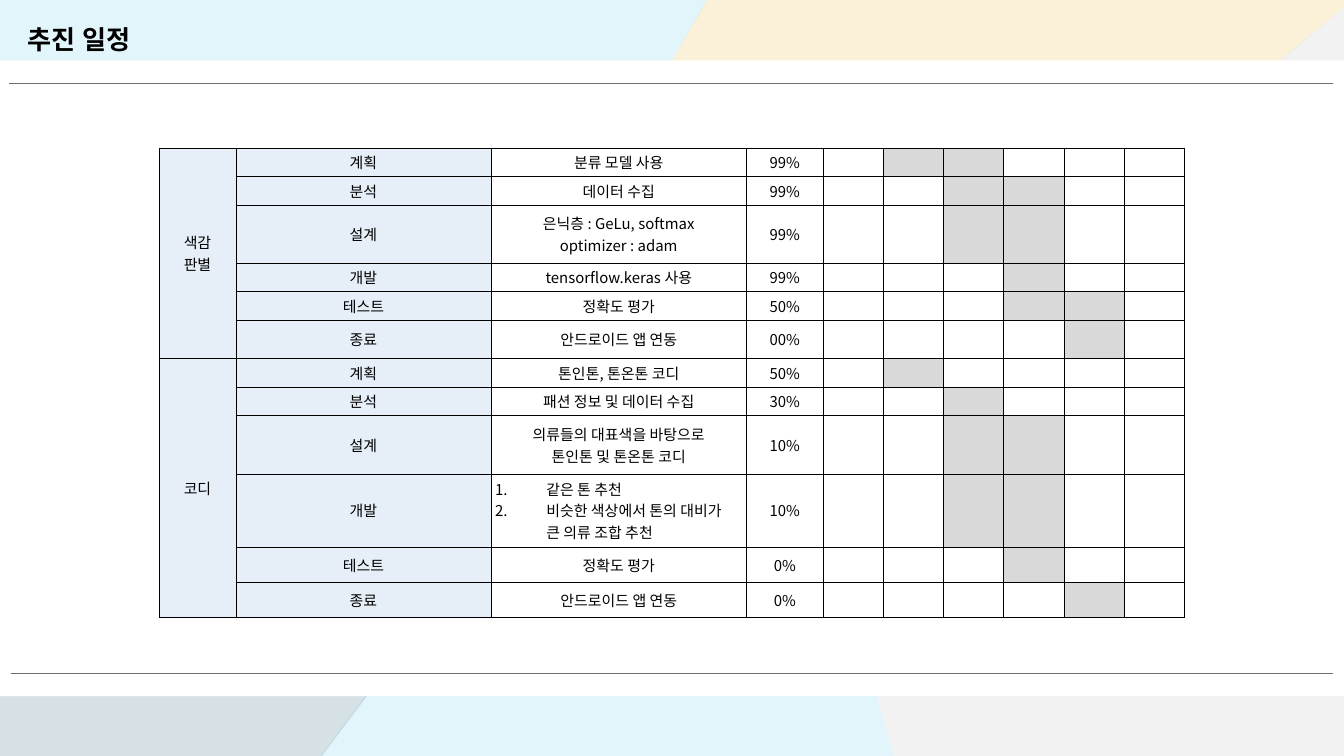
from lxml.etree import SubElement
from pptx import Presentation
from pptx.dml.color import RGBColor
from pptx.enum.shapes import MSO_CONNECTOR, MSO_SHAPE
from pptx.enum.text import MSO_ANCHOR, MSO_AUTO_SIZE, PP_ALIGN
from pptx.oxml.ns import qn
from pptx.util import Inches, Pt

# The slide is a 16:9 grid, 1000 columns wide
COLS = 1000
ROWS = COLS * 9 / 16
UNIT = Inches(0.01)
FONT = "Noto Sans CJK KR"

BLACK = RGBColor(0x00, 0x00, 0x00)
WHITE = RGBColor(0xFF, 0xFF, 0xFF)
RULE = RGBColor(0x69, 0x6E, 0x72)
SKY = RGBColor(0x9E, 0xDD, 0xEF)
SAND = RGBColor(0xF7, 0xE5, 0xB7)
SLATE = RGBColor(0x96, 0xB3, 0xC1)
PALE = RGBColor(0xEE, 0xEE, 0xEE)
LABEL = RGBColor(0xE6, 0xEE, 0xF7)
BUSY = RGBColor(0xD9, 0xD9, 0xD9)

# Colour, opacity in percent, corners
FACETS = [
    (SKY, 29, [(221, 586), (672, 586), (547, 149)]),
    (SAND, 53, [(1010, -3), (1010, -14), (534, -14), (433, 161), (917, 77)]),
    (SLATE, 39, [(-8, 593), (-8, 321), (549, 152), (212, 599)]),
    (SKY, 29, [(-7, 321), (-7, -10), (532, -10), (416, 189)]),
    (PALE, 72, [(672, 586), (1010, 586), (1010, -3), (600, 333)]),
]

WIDTHS = [57, 190, 190, 57] + [44.8] * 6
HEIGHTS = [21.2, 21.2, 43.4, 21.2, 21.2, 28, 21.2, 21.2, 43.6, 54.2, 26.4, 26.4]
STEPS = ["계획", "분석", "설계", "개발", "테스트", "종료"]

# Per step: task, progress, first and last busy period
PLAN = {
    "색감\n판별": [
        ("분류 모델 사용", "99%", 1, 2),
        ("데이터 수집", "99%", 2, 3),
        ("은닉층 : GeLu, softmax\noptimizer : adam", "99%", 2, 3),
        ("tensorflow.keras 사용", "99%", 3, 3),
        ("정확도 평가", "50%", 3, 4),
        ("안드로이드 앱 연동", "00%", 4, 4),
    ],
    "코디": [
        ("톤인톤, 톤온톤 코디", "50%", 1, 1),
        ("패션 정보 및 데이터 수집", "30%", 2, 2),
        ("의류들의 대표색을 바탕으로\n톤인톤 및 톤온톤 코디", "10%", 2, 3),
        (["같은 톤 추천", "비슷한 색상에서 톤의 대비가\v큰 의류 조합 추천"],
         "10%", 2, 3),
        ("정확도 평가", "0%", 3, 3),
        ("안드로이드 앱 연동", "0%", 4, 4),
    ],
}


def scale(*cells):
    return [round(n * UNIT) for n in cells]


def style(para, size, bold=False):
    for run in para.runs:
        font = run.font
        font.name, font.size, font.bold = FONT, Pt(size), bold
        font.color.rgb = BLACK
        SubElement(font._element, qn("a:ea"), typeface=FONT)


def paint(shape, color):
    shape.shadow.inherit = False
    shape.fill.solid()
    shape.fill.fore_color.rgb = color
    shape.line.fill.background()


def facet(slide, color, alpha, dots):
    build = slide.shapes.build_freeform(*dots[0], scale=UNIT)
    build.add_line_segments(dots[1:], close=True)
    shape = build.convert_to_shape()
    paint(shape, color)
    tint = shape.fill._xPr.find(".//" + qn("a:srgbClr"))
    SubElement(tint, qn("a:alpha"), val=str(alpha * 1000))


def rule(slide, left, right, top):
    line = slide.shapes.add_connector(
        MSO_CONNECTOR.STRAIGHT, *scale(left, top, right, top))
    line.line.color.rgb = RULE
    line.line.width = Pt(0.75)
    SubElement(line._element.spPr, qn("a:effectLst"))


def backdrop(slide, box):
    left, top, width, height = box
    for part in FACETS:
        facet(slide, *part)
    # White sheet over the facets, with a rule near each edge
    sheet = slide.shapes.add_shape(MSO_SHAPE.RECTANGLE, *scale(*box))
    paint(sheet, WHITE)
    rule(slide, left + 10, left + width - 10, top + 17)
    rule(slide, left + 11, left + width - 10, top + height - 17)


def title(slide, box, text):
    frame = slide.shapes.add_textbox(*scale(*box)).text_frame
    frame.word_wrap = True
    frame.auto_size = MSO_AUTO_SIZE.SHAPE_TO_FIT_TEXT
    frame.vertical_anchor = MSO_ANCHOR.MIDDLE
    frame.text = text
    para = frame.paragraphs[0]
    para.line_spacing = 2.5
    style(para, 14, True)


def number(para):
    props = para._p.get_or_add_pPr()
    props.set("marL", str(Inches(0.38)))
    props.set("indent", str(-Inches(0.38)))
    tint = SubElement(props, qn("a:buClr"))
    SubElement(tint, qn("a:srgbClr"), val=str(BLACK))
    SubElement(props, qn("a:buAutoNum"), type="arabicPeriod")


def border(cell):
    props = cell._tc.get_or_add_tcPr()
    for side in ("lnL", "lnR", "lnT", "lnB"):
        edge = SubElement(props, qn("a:" + side), w=str(Pt(0.28)))
        fill = SubElement(edge, qn("a:solidFill"))
        SubElement(fill, qn("a:srgbClr"), val=str(BLACK))


def format_cell(cell):
    border(cell)
    cell.fill.background()
    cell.vertical_anchor = MSO_ANCHOR.MIDDLE
    cell.margin_left = cell.margin_right = Inches(0.03)
    cell.margin_top = cell.margin_bottom = Inches(0.01)
    # Small end mark, so that empty cells do not stretch their row
    SubElement(cell.text_frame.paragraphs[0]._p, qn("a:endParaRPr"), sz="800")


def shade(cell, color):
    cell.fill.solid()
    cell.fill.fore_color.rgb = color


def write(cell, text):
    listed = isinstance(text, list)
    frame = cell.text_frame
    frame.text = "\n".join(text) if listed else text
    for para in frame.paragraphs:
        if listed:
            number(para)
        else:
            para.alignment = PP_ALIGN.CENTER
        style(para, 8)


def schedule(slide, left, top):
    table = slide.shapes.add_table(
        len(HEIGHTS), len(WIDTHS),
        *scale(left, top, sum(WIDTHS), sum(HEIGHTS))).table
    table.first_row = table.horz_banding = False
    for col, width in zip(table.columns, scale(*WIDTHS)):
        col.width = width
    for row, height in zip(table.rows, scale(*HEIGHTS)):
        row.height = height
    for cell in table.iter_cells():
        format_cell(cell)

    for group, (name, tasks) in enumerate(PLAN.items()):
        start = group * len(STEPS)
        head = table.cell(start, 0)
        head.merge(table.cell(start + len(STEPS) - 1, 0))
        write(head, name)
        shade(head, LABEL)
        for row, (step, task) in enumerate(zip(STEPS, tasks), start):
            work, done, first, last = task
            for col, text in enumerate((step, work, done), 1):
                write(table.cell(row, col), text)
            shade(table.cell(row, 1), LABEL)
            # Busy periods follow the four text columns
            for col in range(4 + first, 5 + last):
                shade(table.cell(row, col), BUSY)


def main():
    deck = Presentation()
    deck.slide_width, deck.slide_height = scale(COLS, ROWS)
    slide = deck.slides.add_slide(deck.slide_layouts[6])
    backdrop(slide, (-3, 45, 1005, 473))
    title(slide, (11, -18, 420, 59), "추진 일정")
    schedule(slide, 118.5, 110)
    deck.save("out.pptx")


if __name__ == "__main__":
    main()
